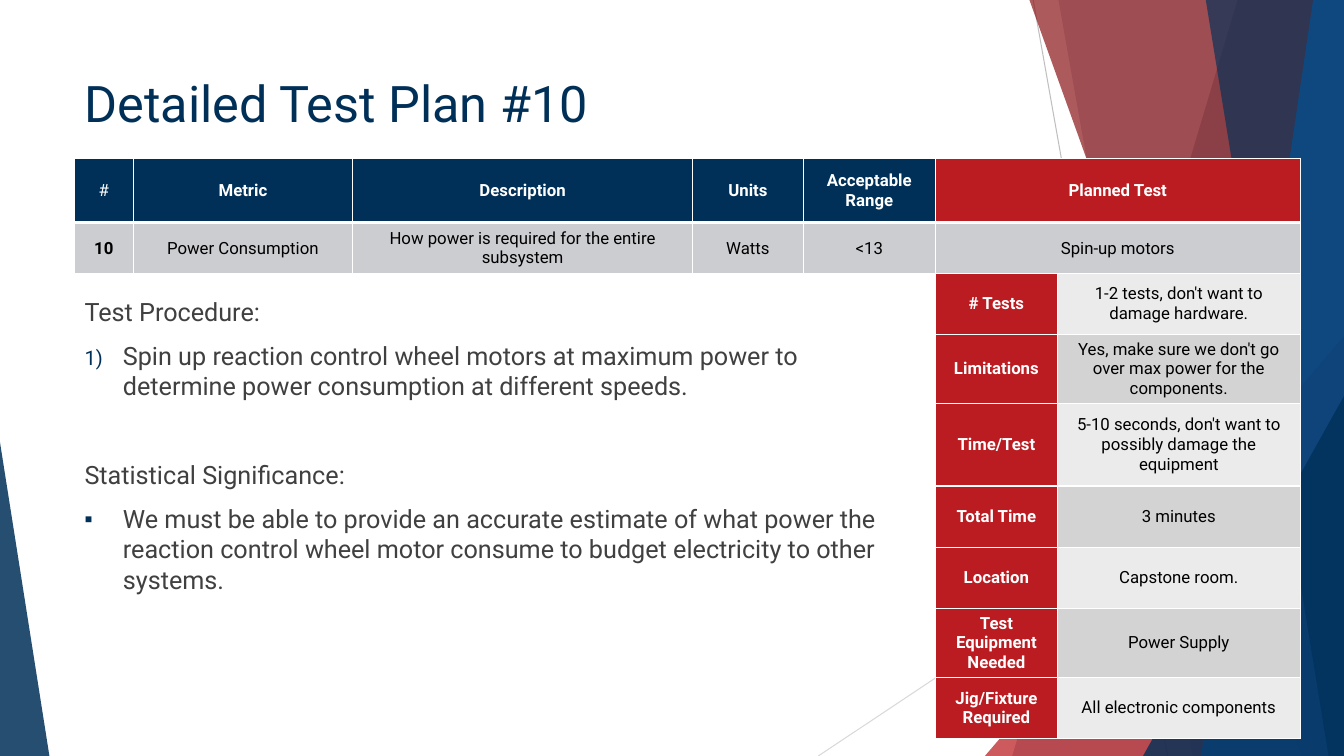
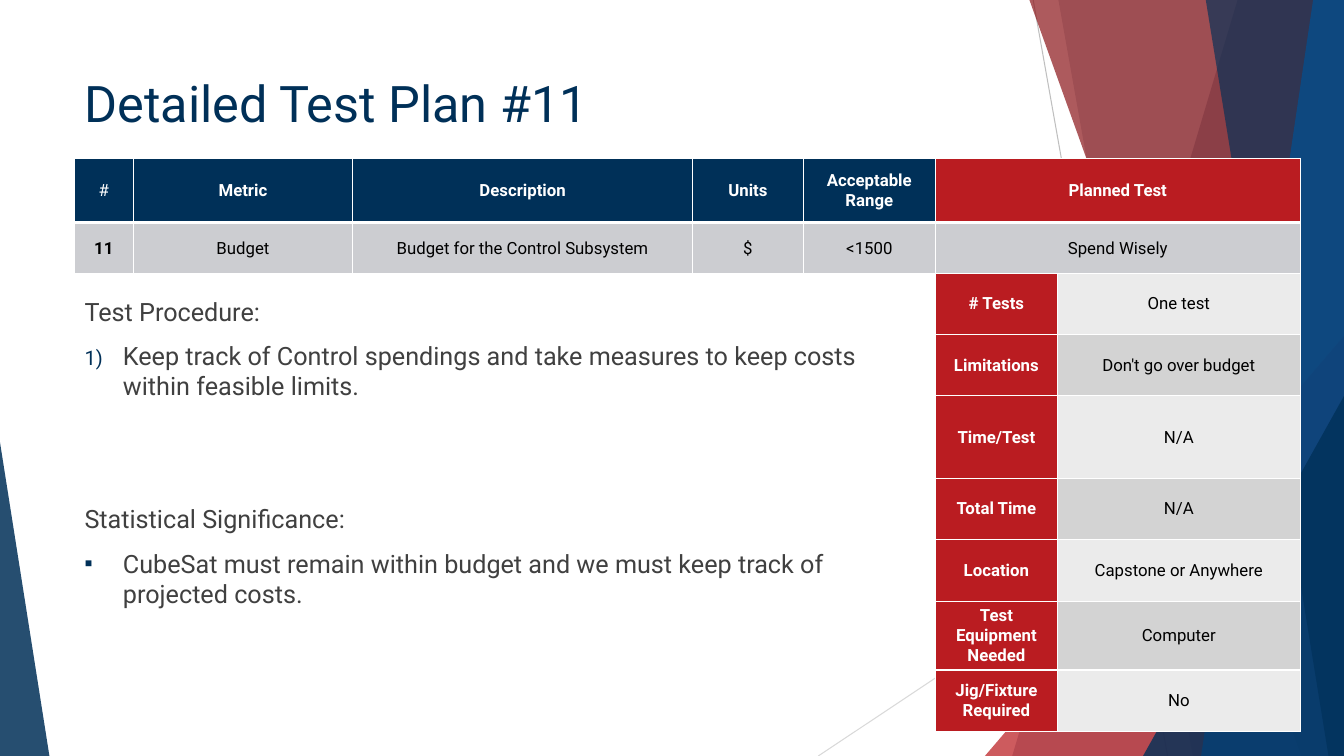
import dataclasses

import pptx
import pptx.dml.color
import pptx.enum.shapes
import pptx.enum.text
import pptx.oxml
import pptx.oxml.ns
import pptx.util

Pt = pptx.util.Pt
qn = pptx.oxml.ns.qn
CENTER = pptx.enum.text.PP_ALIGN.CENTER
MIDDLE = pptx.enum.text.MSO_ANCHOR.MIDDLE


@dataclasses.dataclass(frozen=True)
class Theme:
    font: str = "Roboto"
    title_size: float = 36
    body_size: float = 18
    table_size: float = 12
    navy: str = "003058"
    red: str = "BA1C21"
    maroon: str = "8B1519"
    azure: str = "028CFF"
    white: str = "FFFFFF"
    black: str = "000000"
    body: str = "404040"
    metric_row: str = "CCCDD1"
    light_row: str = "EBEBEB"
    dark_row: str = "D3D3D3"
    steep_line: str = "BFBFBF"
    shallow_line: str = "D9D9D9"


THEME = Theme()
WIDTH, HEIGHT = 960, 540
LEFT = 53.3
METRIC_TOP = 113
METRIC_COLUMNS = [41.8, 157, 242.6, 79.2, 94.3, 260.6]
METRIC_ROWS = [46.6, 35.6]
VALUE_TOP = METRIC_TOP + METRIC_ROWS[0]
RULE_TOP = 158.4
RULE_ROWS = [36.7, 35.3]
DETAIL_LEFT = LEFT + sum(METRIC_COLUMNS[:-1])
DETAIL_TOP = METRIC_TOP + sum(METRIC_ROWS)
DETAIL_COLUMNS = [87.1, 173.5]
DETAIL_ROWS = [43.8, 43.8, 59, 43.8, 43.8, 43.8, 43.8]
PARAGRAPH_GAP = 10
BODY_LINE = 21.8
HANG = 27.4
HEADINGS = ["#", "Metric", "Description", "Units", "Acceptable\nRange", "Planned Test"]
DETAIL_LABELS = ["# Tests", "Limitations", "Time/Test", "Total Time", "Location",
                 "Test\nEquipment\nNeeded", "Jig/Fixture\nRequired"]
NUMBERED = '<a:buAutoNum {} type="arabicParenR"/>'
SQUARE = '<a:buChar {} char="▪"/>'

PLANS = [
    dict(number="10",
         metric=["Power Consumption", "How power is required for the entire subsystem",
                 "Watts", "<13", "Spin-up motors"],
         details=["1-2 tests, don't want to damage hardware.",
                  "Yes, make sure we don't go over max power for the components.",
                  "5-10 seconds, don't want to possibly damage the equipment",
                  "3 minutes", "Capstone room.", "Power Supply",
                  "All electronic components"],
         procedure="Spin up reaction control wheel motors at maximum power to "
                   "determine power consumption at different speeds.",
         significance="We must be able to provide an accurate estimate of what power "
                      "the reaction control wheel motor consume to budget electricity "
                      "to other systems.",
         open_lines=1),
    dict(number="11",
         metric=["Budget", "Budget for the Control Subsystem", "$", "<1500",
                 "Spend Wisely"],
         details=["One test", "Don't go over budget", "N/A", "N/A",
                  "Capstone or Anywhere", "Computer", "No"],
         procedure="Keep track of Control spendings and take measures to keep costs "
                   "within feasible limits.",
         significance="CubeSat must remain within budget and we must keep track of "
                      "projected costs.",
         open_lines=2),
]


def rgb(code):
    return pptx.dml.color.RGBColor.from_string(code)


def xml(markup):
    return pptx.oxml.parse_xml(markup.format(pptx.oxml.ns.nsdecls("a")))


class Deck:
    def __init__(self, theme):
        self.theme = theme
        self.presentation = pptx.Presentation()
        self.presentation.slide_width = Pt(WIDTH)
        self.presentation.slide_height = Pt(HEIGHT)
        self.slide = None

    def new_slide(self):
        self.slide = self.presentation.slides.add_slide(
            self.presentation.slide_layouts[6])
        self.backdrop()

    def line(self, start, end, color):
        connector = self.slide.shapes.add_connector(
            pptx.enum.shapes.MSO_CONNECTOR.STRAIGHT, *map(Pt, start + end))
        connector.line.color.rgb = rgb(color)
        connector.line.width = Pt(0.75)
        connector.element.spPr.append(xml("<a:effectLst {}/>"))

    def glaze(self, shape, color, opacity):
        shape.shadow.inherit = False
        shape.line.fill.background()
        shape.fill.solid()
        shape.fill.fore_color.rgb = rgb(color)
        tint = shape.element.spPr.find(".//" + qn("a:srgbClr"))
        tint.append(xml(f'<a:alpha {{}} val="{opacity * 1000}"/>'))

    def band(self, top_x, bottom_x, color, opacity):
        outline = self.slide.shapes.build_freeform(Pt(top_x), 0)
        corners = [(WIDTH, 0), (WIDTH, HEIGHT), (bottom_x, HEIGHT)]
        outline.add_line_segments([(Pt(x), Pt(y)) for x, y in corners])
        self.glaze(outline.convert_to_shape(), color, opacity)

    def wedge(self, left, top, width, apex, color, opacity):
        shape = self.slide.shapes.add_shape(
            pptx.enum.shapes.MSO_SHAPE.ISOSCELES_TRIANGLE,
            Pt(left), Pt(top), Pt(width), Pt(HEIGHT - top))
        shape.adjustments[0] = apex
        self.glaze(shape, color, opacity)

    def backdrop(self):
        theme = self.theme
        self.line((738, 0), (834, HEIGHT), theme.steep_line)
        self.line((WIDTH, 290), (584.5, HEIGHT), theme.shallow_line)
        self.band(884, 723, theme.navy, 30)
        self.band(756, 852, theme.navy, 20)
        self.wedge(703.5, 240, WIDTH - 703.5, 1, theme.red, 72)
        self.band(735.3, 929.5, theme.maroon, 70)
        self.band(938, 858, theme.azure, 70)
        self.band(861.3, 949, theme.navy, 65)
        self.wedge(816.5, 283, WIDTH - 816.5, 1, theme.navy, 80)
        self.wedge(0, 316, 35.3, 0, theme.navy, 85)

    def style(self, paragraph, size, color, bold=False):
        for run in paragraph.runs:
            run.font.name = self.theme.font
            run.font.size = Pt(size)
            run.font.bold = bold
            run.font.color.rgb = rgb(color)

    def text_frame(self, left, top, width, height):
        frame = self.slide.shapes.add_textbox(
            Pt(left), Pt(top), Pt(width), Pt(height)).text_frame
        frame.word_wrap = True
        return frame

    def title(self, text):
        frame = self.text_frame(LEFT, 48, 677, 103.5)
        frame.text = text
        self.style(frame.paragraphs[0], self.theme.title_size, self.theme.navy)

    def bullet(self, paragraph, marker):
        properties = paragraph._p.get_or_add_pPr()
        properties.set("marL", str(Pt(HANG)))
        properties.set("indent", str(Pt(-HANG)))
        properties.append(xml(
            f'<a:buClr {{}}><a:srgbClr val="{self.theme.navy}"/></a:buClr>'))
        properties.append(xml('<a:buSzPct {} val="80000"/>'))
        properties.append(xml(f'<a:buFont {{}} typeface="{self.theme.font}"/>'))
        properties.append(xml(marker))

    def body(self, procedure, significance, open_lines):
        frame = self.text_frame(LEFT, 207.8, 586, 322.5)
        frame.text = "\n".join(["Test Procedure:", procedure,
                                "Statistical Significance:", significance])
        section_gap = PARAGRAPH_GAP + open_lines * (BODY_LINE + PARAGRAPH_GAP)
        gaps = [0, PARAGRAPH_GAP, section_gap, PARAGRAPH_GAP]
        markers = [None, NUMBERED, None, SQUARE]
        for paragraph, gap, marker in zip(frame.paragraphs, gaps, markers):
            if marker:
                self.bullet(paragraph, marker)
            paragraph.space_before = Pt(gap)
            self.style(paragraph, self.theme.body_size, self.theme.body)

    def table(self, left, top, columns, rows):
        grid = self.slide.shapes.add_table(
            len(rows), len(columns), Pt(left), Pt(top),
            Pt(sum(columns)), Pt(sum(rows))).table
        grid.first_row = grid.horz_banding = False
        for column, width in zip(grid.columns, columns):
            column.width = Pt(width)
        for row, height in zip(grid.rows, rows):
            row.height = Pt(height)
        return grid

    def border(self, cell, weight, bottom):
        properties = cell._tc.get_or_add_tcPr()
        for side, width in zip("LRTB", (weight, weight, weight, bottom)):
            properties.append(xml(
                f'<a:ln{side} {{}} w="{Pt(width)}"><a:solidFill>'
                f'<a:srgbClr val="{self.theme.white}"/></a:solidFill></a:ln{side}>'))

    def cell(self, cell, text, fill, color, bold=False, bottom=1):
        cell.text = text
        cell.vertical_anchor = MIDDLE
        cell.margin_top = cell.margin_bottom = Pt(3)
        self.border(cell, 1, bottom)
        cell.fill.solid()
        cell.fill.fore_color.rgb = rgb(fill)
        for paragraph in cell.text_frame.paragraphs:
            paragraph.alignment = CENTER
            self.style(paragraph, self.theme.table_size, color, bold)

    def heading_table(self):
        theme = self.theme
        grid = self.table(LEFT, METRIC_TOP, METRIC_COLUMNS, METRIC_ROWS)
        for index, heading in enumerate(HEADINGS):
            planned = heading == "Planned Test"
            self.cell(grid.cell(0, index), heading,
                      theme.red if planned else theme.navy,
                      theme.white, bold=index > 0, bottom=3)
            self.cell(grid.cell(1, index), "", theme.metric_row, theme.black)

    def rule_table(self, height):
        grid = self.table(LEFT, RULE_TOP, METRIC_COLUMNS, [height])
        for cell in grid.iter_cells():
            self.border(cell, 0.75, 0.75)
            cell.fill.background()

    def value_table(self, values):
        theme = self.theme
        grid = self.table(LEFT, VALUE_TOP, METRIC_COLUMNS, METRIC_ROWS[1:])
        for index, value in enumerate(values):
            self.cell(grid.cell(0, index), value, theme.metric_row,
                      theme.black, bold=index == 0)

    def detail_table(self, values):
        theme = self.theme
        grid = self.table(DETAIL_LEFT, DETAIL_TOP, DETAIL_COLUMNS, DETAIL_ROWS)
        for index, (label, value) in enumerate(zip(DETAIL_LABELS, values)):
            self.cell(grid.cell(index, 0), label, theme.red, theme.white, bold=True)
            self.cell(grid.cell(index, 1), value,
                      theme.dark_row if index % 2 else theme.light_row, theme.black)


def main():
    deck = Deck(THEME)
    for plan in PLANS:
        deck.new_slide()
        deck.title(f"Detailed Test Plan #{plan['number']}")
        deck.body(plan["procedure"], plan["significance"], plan["open_lines"])
        deck.heading_table()
        deck.detail_table(plan["details"])
        for height in RULE_ROWS:
            deck.rule_table(height)
        deck.value_table([plan["number"]] + plan["metric"])
    deck.presentation.save("out.pptx")


if __name__ == "__main__":
    main()
